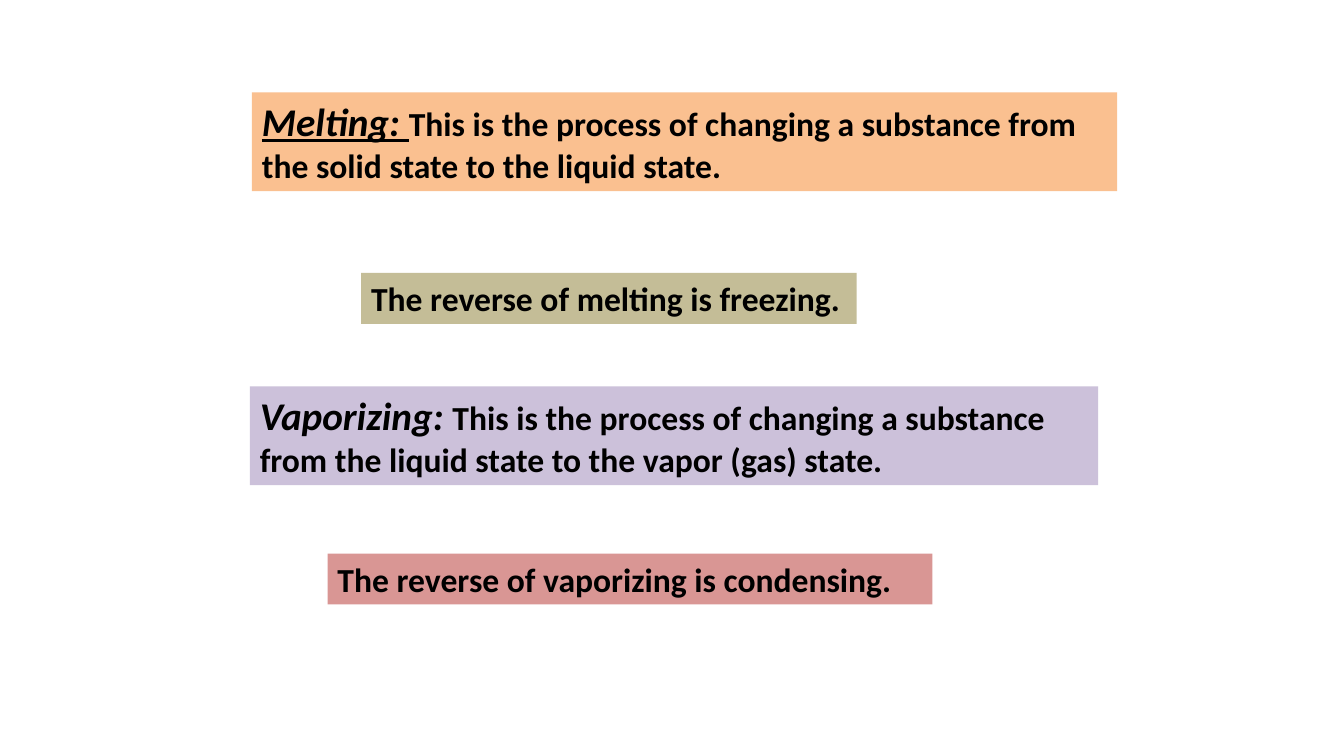
from dataclasses import dataclass

from pptx import Presentation
from pptx.dml.color import RGBColor
from pptx.enum.text import MSO_AUTO_SIZE
from pptx.util import Pt


@dataclass(frozen=True)
class Theme:
    font: str = "Calibri"
    text: str = "000000"
    melting: str = "FAC090"
    freezing: str = "C4BD97"
    vaporizing: str = "CCC1DA"
    condensing: str = "D99694"
    term_size: int = 28
    body_size: int = 24


THEME = Theme()


def add_text(p, text, size=THEME.body_size, italic=False, underline=False):
    r = p.add_run()
    r.text = text
    font = r.font
    font.name, font.size, font.bold = THEME.font, Pt(size), True
    font.italic, font.underline = italic, underline
    font.color.rgb = RGBColor.from_string(THEME.text)


def add_panel(s, box, fill, body, term=None, underline=False):
    """Place a filled statement, led by an italic term if one is given."""
    sp = s.shapes.add_textbox(*(Pt(v) for v in box))
    sp.fill.solid()
    sp.fill.fore_color.rgb = RGBColor.from_string(fill)
    tf = sp.text_frame
    tf.word_wrap = True
    tf.auto_size = MSO_AUTO_SIZE.SHAPE_TO_FIT_TEXT
    p = tf.paragraphs[0]
    if term:
        add_text(p, term + " ", size=THEME.term_size, italic=True, underline=underline)
    add_text(p, body)


def build_changes_of_state(s):
    add_panel(s, (180, 66, 618, 70.5), THEME.melting,
              "This is the process of changing a substance from the solid state "
              "to the liquid state.", term="Melting:", underline=True)
    add_panel(s, (258, 195, 354, 36.35), THEME.freezing,
              "The reverse of melting is freezing.")
    add_panel(s, (178.5, 276, 606, 70.5), THEME.vaporizing,
              "This is the process of changing a substance from the liquid state "
              "to the vapor (gas) state.", term="Vaporizing:")
    add_panel(s, (234, 395.5, 432, 36.35), THEME.condensing,
              "The reverse of vaporizing is condensing.")


def main():
    prs = Presentation()
    prs.slide_width, prs.slide_height = Pt(960), Pt(540)
    blank = prs.slide_layouts.get_by_name("Blank")
    build_changes_of_state(prs.slides.add_slide(blank))
    prs.save("out.pptx")


if __name__ == "__main__":
    main()
